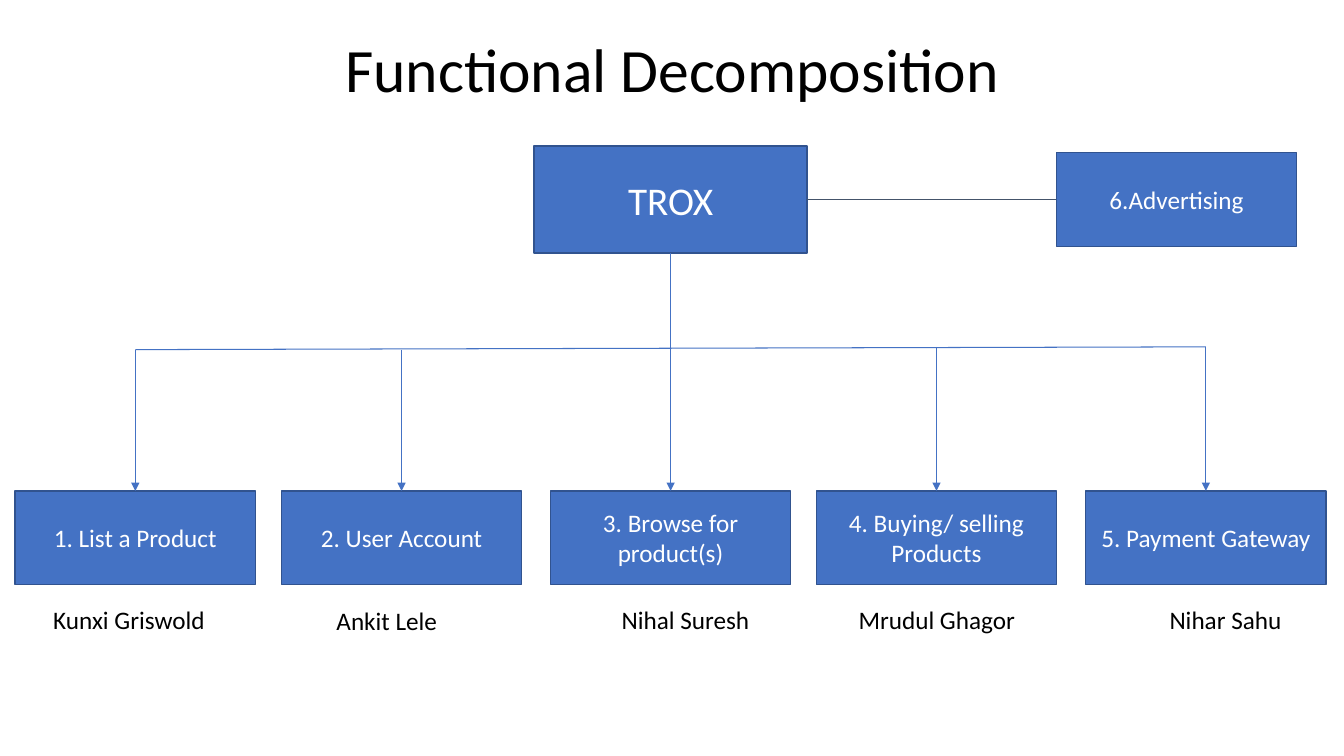
from lxml.etree import SubElement
from pptx import Presentation
from pptx.dml.color import RGBColor
from pptx.enum.shapes import MSO_CONNECTOR, MSO_SHAPE
from pptx.enum.text import MSO_ANCHOR as Anchor, MSO_AUTO_SIZE as AutoSize, PP_ALIGN as Align
from pptx.oxml.ns import qn
from pptx.util import Cm, Pt

BLUE, OUTLINE, SLATE = "4472C4", "31538F", "44546A"
BLACK, WHITE = "000000", "FFFFFF"
TOP, LEFT, BOTTOM, RIGHT = range(4)
BOX_WIDTH, BOX_HEIGHT, FUNCTION_TOP = 6.06, 2.36, 12.37
BUS_LEFT_Y, BUS_RIGHT_Y = 8.81, 8.74

FUNCTIONS = [
    (0.38, "1. List a Product", BUS_LEFT_Y),
    (7.09, "2. User Account", BUS_LEFT_Y),
    (13.87, "3. Browse for product(s)", None),
    (20.57, "4. Buying/ selling\nProducts", BUS_RIGHT_Y),
    (27.36, "5. Payment Gateway", BUS_RIGHT_Y),
]
OWNERS = [
    ("Kunxi Griswold", 1.09, 15.11, 4.65, Align.LEFT),
    ("Ankit Lele", 8.23, 15.14, 3.73, Align.LEFT),
    ("Nihal Suresh", 15.14, 15.11, 4.27, Align.CENTER),
    ("Mrudul Ghagor", 21.16, 15.11, 4.9, Align.CENTER),
    ("Nihar Sahu", 28.75, 15.11, 4.27, Align.CENTER),
]


def rgb(code):
    """Turn a hex string into a colour."""
    return RGBColor.from_string(code)


def apply(target, values):
    """Set every attribute named in values on target."""
    for name, value in values.items():
        setattr(target, name, value)


def write(frame, text, size, color, align=Align.CENTER, spacing=None, **frame_format):
    """Fill a text frame with evenly formatted paragraphs."""
    apply(frame, {"word_wrap": True, **frame_format})
    frame.text = text
    for paragraph in frame.paragraphs:
        apply(paragraph, {"alignment": align, "line_spacing": spacing})
        for run in paragraph.runs:
            apply(run.font, {"name": "Calibri", "size": Pt(size)})
            run.font.color.rgb = rgb(color)


def add_title(slide, text):
    """Place and format the title placeholder."""
    title = slide.shapes.title
    apply(title, {"left": Cm(2.34), "top": Cm(0), "width": Cm(29.21), "height": Cm(3.68)})
    write(title.text_frame, text, 44, BLACK, spacing=0.9, vertical_anchor=Anchor.MIDDLE)


def add_box(slide, text, left, top, width=BOX_WIDTH, height=BOX_HEIGHT, size=18):
    """Add a blue labelled rectangle."""
    box = slide.shapes.add_shape(
        MSO_SHAPE.RECTANGLE, Cm(left), Cm(top), Cm(width), Cm(height))
    box.shadow.inherit = False
    box.fill.solid()
    box.fill.fore_color.rgb = rgb(BLUE)
    box.line.color.rgb = rgb(OUTLINE)
    box.line.width = Pt(1)
    write(box.text_frame, text, size, WHITE, vertical_anchor=Anchor.MIDDLE)
    return box


def add_line(slide, start, end, color=BLUE, arrow=False):
    """Add a thin straight connector between two points."""
    line = slide.shapes.add_connector(MSO_CONNECTOR.STRAIGHT, *start, *end)
    line.line.color.rgb = rgb(color)
    line.line.width = Pt(0.75)
    if arrow:
        SubElement(line.line._get_or_add_ln(), qn("a:tailEnd"), type="triangle")
    SubElement(line._element.spPr, qn("a:effectLst"))
    return line


def add_owner(slide, name, left, top, width, align):
    """Add the name of the person responsible for a function."""
    label = slide.shapes.add_textbox(Cm(left), Cm(top), Cm(width), Cm(1.03))
    write(label.text_frame, name, 18, BLACK, align, auto_size=AutoSize.SHAPE_TO_FIT_TEXT)


def top_center(box):
    """Return the middle of a box's top side."""
    return box.left + box.width // 2, box.top


def add_branches(slide, system, functions):
    """Link the system to its functions through a shared bus line."""
    first_x, last_x = (top_center(functions[i])[0] for i in (0, -1))
    add_line(slide, (first_x, Cm(BUS_LEFT_Y)), (last_x, Cm(BUS_RIGHT_Y)))
    for function, (_, _, bus_y) in zip(functions, FUNCTIONS):
        x, y = top_center(function)
        start_y = system.top + system.height if bus_y is None else Cm(bus_y)
        drop = add_line(slide, (x, start_y), (x, y), arrow=True)
        if bus_y is None:
            drop.begin_connect(system, BOTTOM)
        drop.end_connect(function, TOP)


def main():
    """Build the functional decomposition slide."""
    deck = Presentation()
    apply(deck, {"slide_width": Cm(33.87), "slide_height": Cm(19.05)})
    slide = deck.slides.add_slide(deck.slide_layouts[5])
    add_title(slide, "Functional Decomposition")

    system = add_box(slide, "TROX", 13.46, 3.68, 6.88, 2.7, 28)
    functions = [add_box(slide, text, left, FUNCTION_TOP) for left, text, _ in FUNCTIONS]
    add_branches(slide, system, functions)
    for owner in OWNERS:
        add_owner(slide, *owner)

    advertising = add_box(slide, "6.Advertising", 26.62, 3.85)
    side_link = add_line(slide, (Cm(20.34), Cm(5.03)), (Cm(26.62), Cm(5.03)), SLATE)
    side_link.begin_connect(system, RIGHT)
    side_link.end_connect(advertising, LEFT)
    deck.save("out.pptx")


if __name__ == "__main__":
    main()
